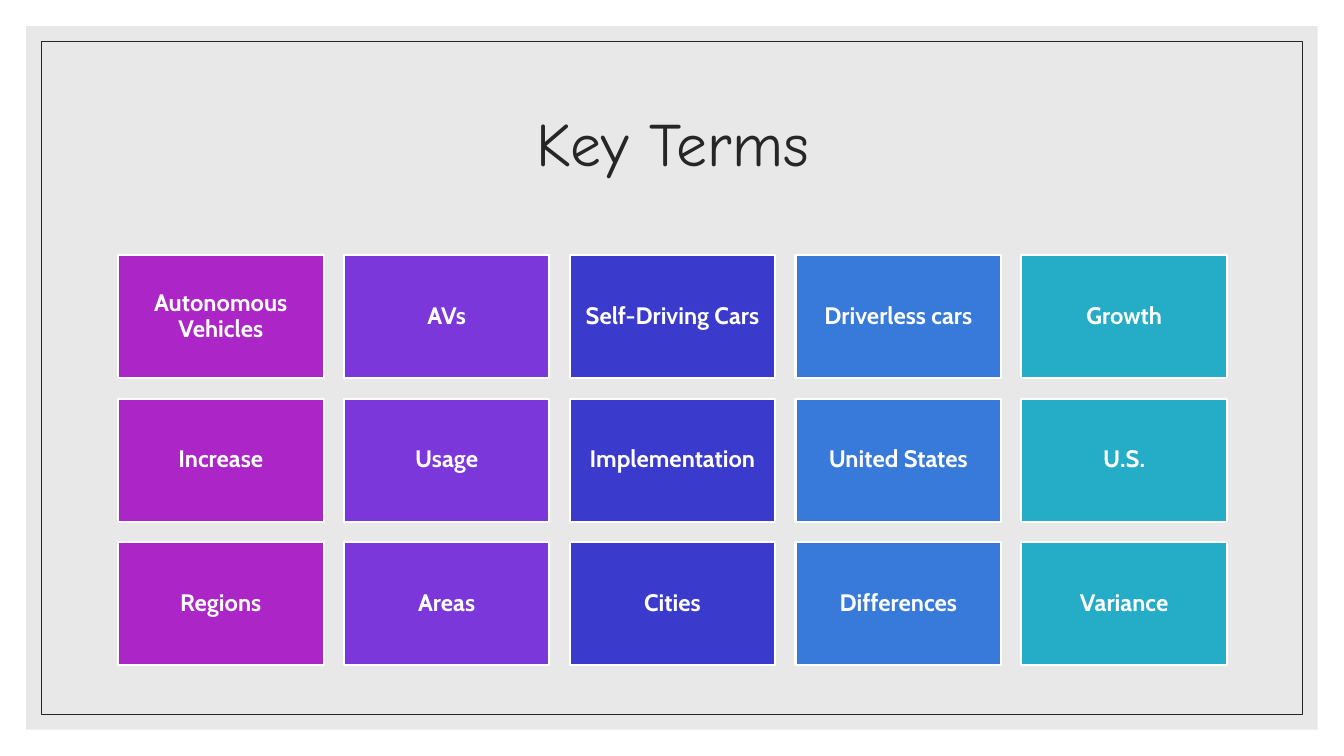
from dataclasses import dataclass

from lxml.etree import SubElement
from pptx import Presentation
from pptx.dml.color import RGBColor
from pptx.enum.shapes import MSO_SHAPE
from pptx.enum.text import MSO_ANCHOR, PP_ALIGN
from pptx.oxml.ns import qn
from pptx.shapes.autoshape import Shape
from pptx.slide import Slide
from pptx.util import Inches, Pt


@dataclass(frozen=True)
class Theme:
    white: str = "FFFFFF"
    panel: str = "D9D9D9"
    panel_alpha: int = 60
    ink: str = "262626"
    columns: tuple[str, ...] = ("AC25C7", "7B37D9", "3A3ACC", "377AD9", "25ACC7")
    title_font: str = "Comic Neue"
    title_size: float = 44
    term_font: str = "Cabin"
    term_size: float = 17
    line_spacing: float = 0.9
    frame_line: float = 0.5
    card_line: float = 1.5


@dataclass(frozen=True)
class Box:
    left: float
    top: float
    width: float
    height: float

    def lengths(self) -> tuple[Inches, ...]:
        return tuple(Inches(v) for v in (self.left, self.top, self.width, self.height))


@dataclass(frozen=True)
class TermCard:
    text: str
    box: Box
    color: str


THEME = Theme()
WIDTH, HEIGHT = 13.33, 7.5
PANEL_MARGIN, FRAME_MARGIN = 0.26, 0.41
TITLE_BOX = Box(1.17, 0.7, 11, 1.5)
FIRST_CARD = Box(1.17, 2.53, 2.04, 1.22)
COLUMN_PITCH = 2.24
LAST_ROW_OFFSET = 2.85
CARD_INSET = 0.07
TERMS = (
    ("Autonomous Vehicles", "AVs", "Self-Driving Cars", "Driverless cars", "Growth"),
    ("Increase", "Usage", "Implementation", "United States", "U.S."),
    ("Regions", "Areas", "Cities", "Differences", "Variance"),
)


def inset_box(margin: float) -> Box:
    return Box(margin, margin, WIDTH - 2 * margin, HEIGHT - 2 * margin)


def term_cards() -> list[TermCard]:
    row_pitch = LAST_ROW_OFFSET / (len(TERMS) - 1)
    return [
        TermCard(
            text,
            Box(
                FIRST_CARD.left + col * COLUMN_PITCH,
                FIRST_CARD.top + row * row_pitch,
                FIRST_CARD.width,
                FIRST_CARD.height,
            ),
            THEME.columns[col],
        )
        for row, terms in enumerate(TERMS)
        for col, text in enumerate(terms)
    ]


def add_rect(
    s: Slide,
    box: Box,
    fill: str | None = None,
    line: str | None = None,
    line_width: float = 0,
) -> Shape:
    sp = s.shapes.add_shape(MSO_SHAPE.RECTANGLE, *box.lengths())
    sp.shadow.inherit = False
    if fill:
        sp.fill.solid()
        sp.fill.fore_color.rgb = RGBColor.from_string(fill)
    else:
        sp.fill.background()
    if line:
        sp.line.color.rgb = RGBColor.from_string(line)
        sp.line.width = Pt(line_width)
    else:
        sp.line.fill.background()
    return sp


def set_opacity(sp: Shape, percent: int) -> None:
    color = sp.element.spPr.find(qn("a:solidFill")).find(qn("a:srgbClr"))
    SubElement(color, qn("a:alpha"), val=str(percent * 1000))


def write_text(
    sp: Shape, text: str, font: str, size: float, color: str, bold: bool = False
) -> None:
    tf = sp.text_frame
    tf.text = text
    tf.word_wrap = True
    tf.vertical_anchor = MSO_ANCHOR.MIDDLE
    p = tf.paragraphs[0]
    p.alignment = PP_ALIGN.CENTER
    p.line_spacing = THEME.line_spacing
    r = p.runs[0]
    r.font.name = font
    r.font.size = Pt(size)
    r.font.bold = bold
    r.font.color.rgb = RGBColor.from_string(color)


def add_title(s: Slide, text: str) -> None:
    sp = s.shapes.add_textbox(*TITLE_BOX.lengths())
    write_text(sp, text, THEME.title_font, THEME.title_size, THEME.ink)


def add_card(s: Slide, card: TermCard) -> None:
    sp = add_rect(s, card.box, card.color, THEME.white, THEME.card_line)
    tf = sp.text_frame
    tf.margin_left = tf.margin_right = Inches(CARD_INSET)
    tf.margin_top = tf.margin_bottom = Inches(CARD_INSET)
    write_text(sp, card.text, THEME.term_font, THEME.term_size, THEME.white, bold=True)


def main() -> None:
    prs = Presentation()
    prs.slide_width, prs.slide_height = Inches(WIDTH), Inches(HEIGHT)
    s = prs.slides.add_slide(prs.slide_layouts[6])
    s.background.fill.solid()
    s.background.fill.fore_color.rgb = RGBColor.from_string(THEME.white)
    panel = add_rect(s, inset_box(PANEL_MARGIN), THEME.panel)
    set_opacity(panel, THEME.panel_alpha)
    add_rect(s, inset_box(FRAME_MARGIN), line=THEME.ink, line_width=THEME.frame_line)
    add_title(s, "Key Terms")
    for card in term_cards():
        add_card(s, card)
    prs.save("out.pptx")


if __name__ == "__main__":
    main()
